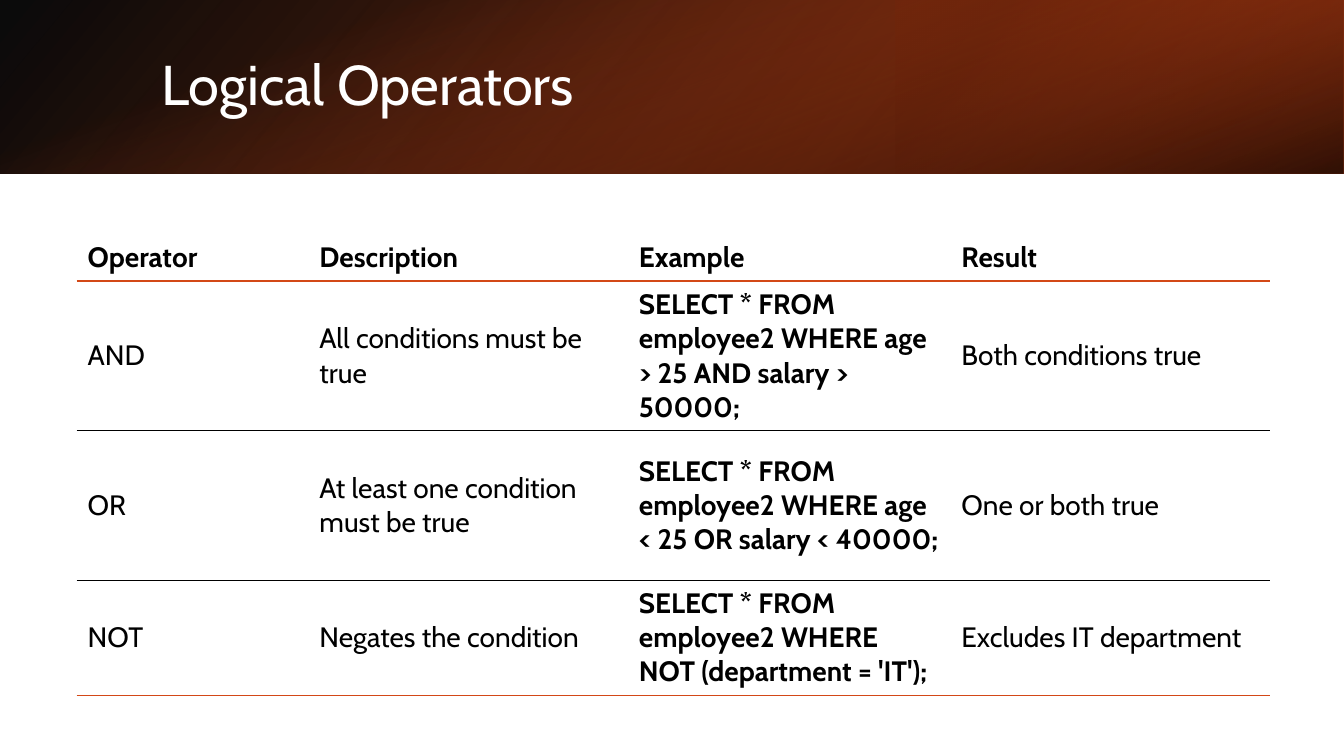
from dataclasses import dataclass

from pptx import Presentation
from pptx.dml.color import RGBColor
from pptx.enum.shapes import MSO_SHAPE
from pptx.enum.text import MSO_ANCHOR, PP_ALIGN
from pptx.oxml import parse_xml
from pptx.oxml.ns import nsdecls, qn
from pptx.util import Cm, Pt

RECTANGLE = MSO_SHAPE.RECTANGLE
MIDDLE = MSO_ANCHOR.MIDDLE
LEFT = PP_ALIGN.LEFT


@dataclass(frozen=True)
class Theme:
    font: str = "Cabin"
    title_size: int = 40
    table_size: int = 20
    white: str = "FFFFFF"
    black: str = "000000"
    orange: str = "D34817"
    rust: str = "9E3611"
    brown: str = "69240C"


THEME = Theme()

# Content
TITLE = "Logical Operators"
OPERATORS = [
    ("Operator", "Description", "Example", "Result"),
    ("AND", "All conditions must be true",
     "SELECT * FROM employee2 WHERE age > 25 AND salary > 50000;",
     "Both conditions true"),
    ("OR", "At least one condition must be true",
     "SELECT * FROM employee2 WHERE age < 25 OR salary < 40000;",
     "One or both true"),
    ("NOT", "Negates the condition",
     "SELECT * FROM employee2 WHERE NOT (department = 'IT');",
     "Excludes IT department"),
]
EXAMPLE_COLUMN = 2

# Layout in centimetres
SLIDE_W, SLIDE_H = 33.87, 19.05
BANNER_H = 4.37
TITLE_BOX = (3.81, 0.97, 27.89, 2.44)
TABLE_LEFT, TABLE_TOP = 1.93, 5.87
COLUMN_WIDTHS = (5.84, 8.05, 8.13, 8.05)
ROW_HEIGHTS = (1.22, 3.76, 3.76, 2.92)

# Banner layers: box, rotation, mirrored, angle, stops (position, colour, opacity)
BANNER_LAYERS = [
    ((0, 0, SLIDE_W, BANNER_H), 0, True, 140,
     [(0, THEME.black, 96), (100, THEME.rust, 100)]),
    ((SLIDE_W * 2 / 3, 0, SLIDE_W / 3, BANNER_H), 180, True, 320,
     [(19, THEME.brown, 68), (100, THEME.orange, 79)]),
    (((SLIDE_W - BANNER_H) / 2, (BANNER_H - SLIDE_W) / 2, BANNER_H, SLIDE_W), 90, False, 340,
     [(23, THEME.orange, 0), (99, THEME.black, 74)]),
]

# Rules between rows: colour and width in points
RULES = [(THEME.orange, 1.5), (THEME.black, 0.25), (THEME.black, 0.25), (THEME.orange, 1)]


def gradient(angle, stops):
    stops_xml = "".join(
        f'<a:gs pos="{position * 1000}"><a:srgbClr val="{color}">'
        f'<a:alpha val="{opacity * 1000}"/></a:srgbClr></a:gs>'
        for position, color, opacity in stops)
    return parse_xml(
        f'<a:gradFill {nsdecls("a")} rotWithShape="1"><a:gsLst>{stops_xml}</a:gsLst>'
        f'<a:lin ang="{angle * 60000}" scaled="0"/></a:gradFill>')


def add_banner_layer(slide, box, rotation, mirrored, angle, stops):
    layer = slide.shapes.add_shape(RECTANGLE, *map(Cm, box))
    layer.rotation = rotation
    layer.shadow.inherit = False
    layer.line.fill.background()
    properties = layer._element.spPr
    if mirrored:
        properties.find(qn("a:xfrm")).set("flipH", "1")
    properties.find(qn("a:prstGeom")).addnext(gradient(angle, stops))


def set_font(paragraph, size, color, bold=False):
    paragraph.font.name = THEME.font
    paragraph.font.size = Pt(size)
    paragraph.font.bold = bold
    paragraph.font.color.rgb = RGBColor.from_string(color)


def add_title(slide):
    title = slide.shapes.title
    title.left, title.top, title.width, title.height = map(Cm, TITLE_BOX)
    title.text_frame.text = TITLE
    title.text_frame.vertical_anchor = MIDDLE
    heading = title.text_frame.paragraphs[0]
    heading.alignment = LEFT
    heading.line_spacing = 0.9
    set_font(heading, THEME.title_size, THEME.white)
    slide.shapes._spTree.append(title._element)  # in front of the banner


def set_rules(cell, row):
    edges = [("lnB", RULES[row])]
    if row:
        edges.insert(0, ("lnT", RULES[row - 1]))
    for index, (edge, (color, width)) in enumerate(edges):
        cell._tc.get_or_add_tcPr().insert(index, parse_xml(
            f'<a:{edge} {nsdecls("a")} w="{Pt(width)}"><a:solidFill>'
            f'<a:srgbClr val="{color}"/></a:solidFill></a:{edge}>'))


def add_operator_table(slide):
    table = slide.shapes.add_table(
        len(OPERATORS), len(COLUMN_WIDTHS), Cm(TABLE_LEFT), Cm(TABLE_TOP),
        Cm(sum(COLUMN_WIDTHS)), Cm(sum(ROW_HEIGHTS))).table
    table.horz_banding = False
    # Style without fills or grid
    style = table._tbl.tblPr.find(qn("a:tableStyleId"))
    style.text = "{2D5ABB26-0587-4C30-8999-92F81FD0307C}"
    for column, width in zip(table.columns, COLUMN_WIDTHS):
        column.width = Cm(width)
    for row, height in enumerate(ROW_HEIGHTS):
        table.rows[row].height = Cm(height)
        for column, wording in enumerate(OPERATORS[row]):
            cell = table.cell(row, column)
            cell.text = wording
            cell.vertical_anchor = MIDDLE
            cell.margin_left = cell.margin_right = Cm(0.28)
            cell.margin_top = cell.margin_bottom = Cm(0.14)
            cell.fill.background()
            set_font(cell.text_frame.paragraphs[0], THEME.table_size, THEME.black,
                     bold=row == 0 or column == EXAMPLE_COLUMN)
            set_rules(cell, row)


def main():
    deck = Presentation()
    deck.slide_width, deck.slide_height = Cm(SLIDE_W), Cm(SLIDE_H)
    slide = deck.slides.add_slide(deck.slide_layouts[5])
    for layer in BANNER_LAYERS:
        add_banner_layer(slide, *layer)
    add_title(slide)
    add_operator_table(slide)
    deck.save("out.pptx")


if __name__ == "__main__":
    main()
